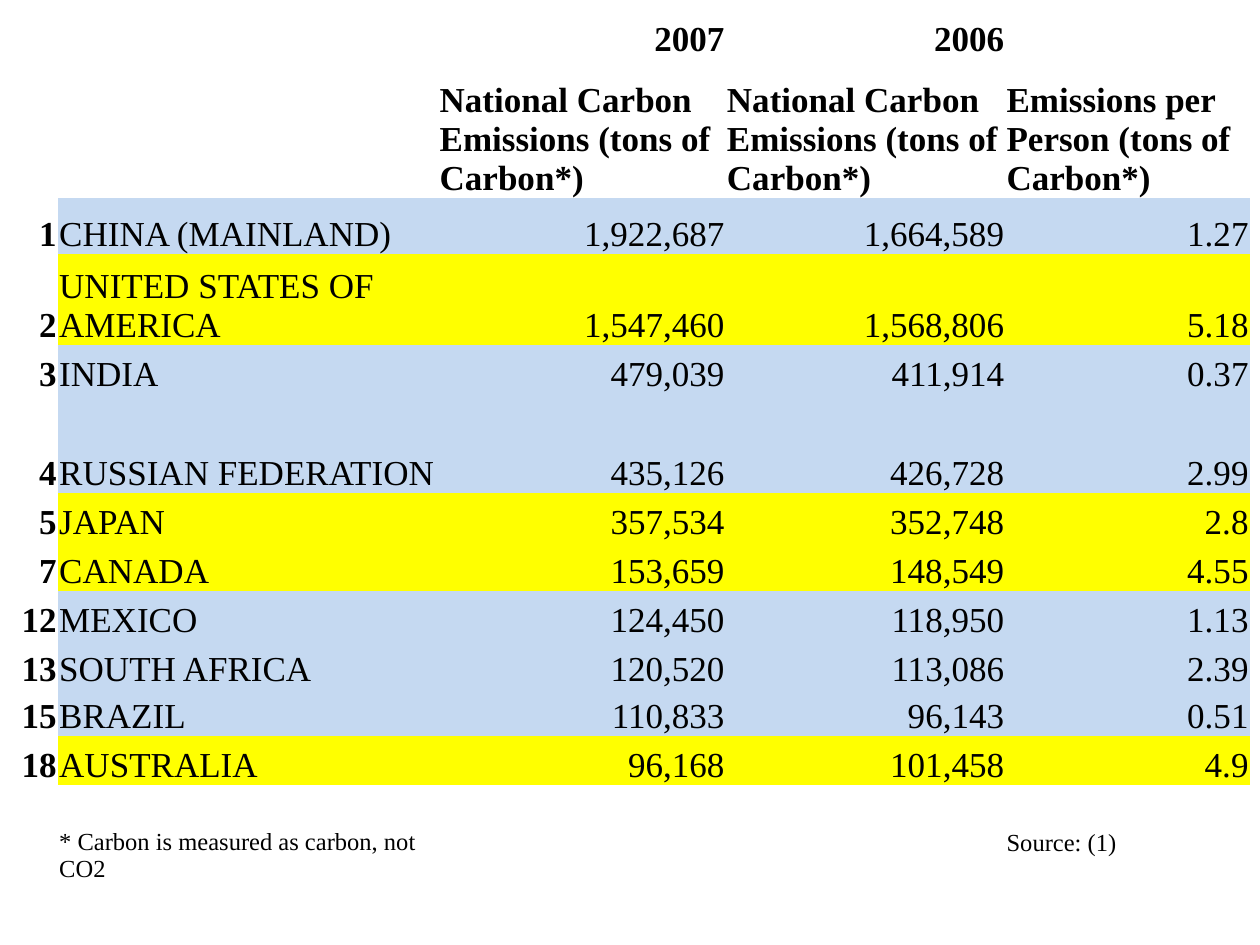
import pptx
import pptx.util
import pptx.dml.color
import pptx.enum.text
import pptx.oxml.ns

Inches = pptx.util.Inches
RGB = pptx.dml.color.RGBColor
ALIGN = pptx.enum.text.PP_ALIGN
BLACK = RGB(0x00, 0x00, 0x00)
BLUE = RGB(0xC5, 0xD9, 0xF1)
YELLOW = RGB(0xFF, 0xFF, 0x00)
PLAIN = "{2D5ABB26-0587-4C30-8999-92F81FD0307C}"

COLS = [0.46, 3.02, 2.28, 2.22, 1.94]
ROWS = [0.39, 1.1, 0.45, 0.72, 0.39, 0.78] + [0.39] * 4 + [0.37, 0.39, 0.78]
TONS = "National Carbon Emissions (tons of Carbon*)"
HEADS = [
    ["", "", "2007", "2006", ""],
    ["", "", TONS, TONS, "Emissions per Person (tons of Carbon*)"],
]
LANDS = [
    ["1", "CHINA (MAINLAND)", "1,922,687", "1,664,589", "1.27"],
    ["2", "UNITED STATES OF AMERICA", "1,547,460", "1,568,806", "5.18"],
    ["3", "INDIA", "479,039", "411,914", "0.37"],
    ["4", "RUSSIAN FEDERATION", "435,126", "426,728", "2.99"],
    ["5", "JAPAN", "357,534", "352,748", "2.8"],
    ["7", "CANADA", "153,659", "148,549", "4.55"],
    ["12", "MEXICO", "124,450", "118,950", "1.13"],
    ["13", "SOUTH AFRICA", "120,520", "113,086", "2.39"],
    ["15", "BRAZIL", "110,833", "96,143", "0.51"],
    ["18", "AUSTRALIA", "96,168", "101,458", "4.9"],
]
NOTES = ["", "* Carbon is measured as carbon, not CO2", "", "", "Source: (1)"]
MARKED = {"2", "5", "7", "18"}


class Deck:
    face = {"name": "Times New Roman"}
    inset = {
        "margin_left": Inches(0.01),
        "margin_right": Inches(0.01),
        "margin_top": Inches(0.01),
        "margin_bottom": 0,
        "vertical_anchor": pptx.enum.text.MSO_ANCHOR.BOTTOM,
    }

    def __init__(self, show):
        self.slide = show.slides.add_slide(show.slide_layouts[6])

    def table(self, left, top, cols, rows):
        frame = self.slide.shapes.add_table(
            len(rows), len(cols), Inches(left), Inches(top),
            Inches(sum(cols)), Inches(sum(rows)))
        for style in frame.element.iter(pptx.oxml.ns.qn("a:tableStyleId")):
            style.text = PLAIN
        grid = frame.table
        grid.first_row = grid.horz_banding = False
        for col, width in zip(grid.columns, cols):
            col.width = Inches(width)
        for row, height in zip(grid.rows, rows):
            row.height = Inches(height)
        return grid

    def cell(self, cell, text, size=20, bold=False, right=False, fill=None):
        for key, value in self.inset.items():
            setattr(cell, key, value)
        if fill is None:
            cell.fill.background()
        else:
            cell.fill.solid()
            cell.fill.fore_color.rgb = fill
        if not text:
            return
        para = cell.text_frame.paragraphs[0]
        para.alignment = ALIGN.RIGHT if right else ALIGN.LEFT
        run = para.add_run()
        run.text = text
        look = {**self.face, "size": pptx.util.Pt(size), "bold": bold}
        for key, value in look.items():
            setattr(run.font, key, value)
        run.font.color.rgb = BLACK


def main():
    show = pptx.Presentation()
    show.slide_width, show.slide_height = Inches(10), Inches(7.5)
    deck = Deck(show)
    grid = deck.table(0, 0.08, COLS, ROWS)
    for r, heads in enumerate(HEADS):
        for c, text in enumerate(heads):
            deck.cell(grid.cell(r, c), text, bold=True, right=r == 0)
    for r, land in enumerate(LANDS, len(HEADS)):
        tint = YELLOW if land[0] in MARKED else BLUE
        for c, text in enumerate(land):
            deck.cell(grid.cell(r, c), text, bold=c == 0, right=c != 1,
                      fill=tint if c else None)
    last = len(ROWS) - 1
    for c, text in enumerate(NOTES):
        deck.cell(grid.cell(last, c), text, size=14)
    grid.cell(last, 4).margin_bottom = Inches(0.21)
    show.save("out.pptx")


if __name__ == "__main__":
    main()
